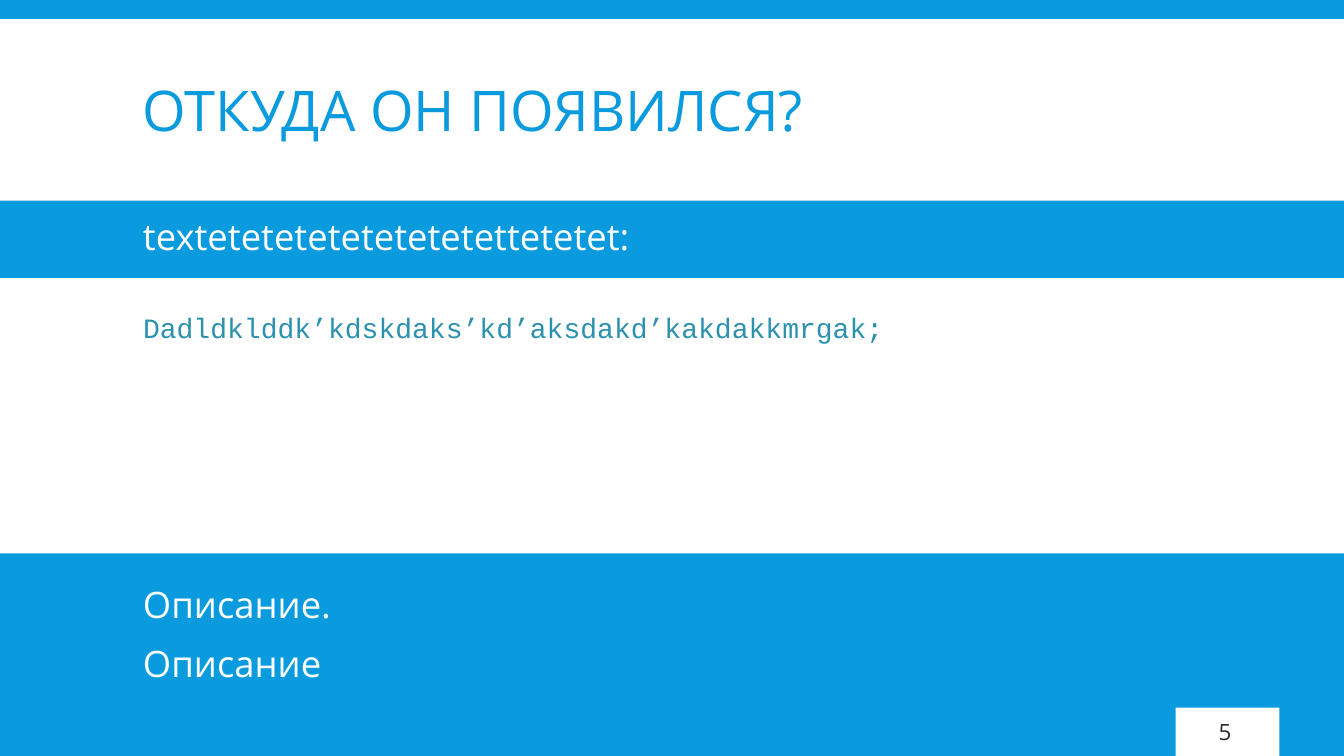
from pptx import Presentation
from pptx.dml.color import RGBColor
from pptx.enum.shapes import MSO_SHAPE
from pptx.enum.text import MSO_ANCHOR, PP_ALIGN
from pptx.util import Inches, Pt

BLUE = RGBColor(0x09, 0x9B, 0xDD)
WHITE = RGBColor(0xFF, 0xFF, 0xFF)
TEAL = RGBColor(0x2B, 0x91, 0xAF)
DARK = RGBColor(0x2C, 0x2C, 0x2C)

SLIDE_WIDTH = 13.33
TEXT_LEFT = 1.32
TEXT_WIDTH = 10.7

TITLE = {"size": Pt(40), "color": BLUE, "paragraph": {"line_spacing": 0.85}}
BODY = {
    "size": Pt(26),
    "color": WHITE,
    "paragraph": {"line_spacing": 0.9, "space_before": Pt(12), "space_after": Pt(2)},
}
CODE = {
    "name": "Courier New",
    "size": Pt(20),
    "color": TEAL,
    "paragraph": {"line_spacing": 1.07},
}
NUMBER = {"size": Pt(16), "color": DARK, "paragraph": {"alignment": PP_ALIGN.CENTER}}


class SlideBuilder:
    """Draws styled panels and text on the current slide."""

    font_name = "Open Sans"

    def __init__(self, slide):
        self.slide = slide

    def background(self, color):
        fill = self.slide.background.fill
        fill.solid()
        fill.fore_color.rgb = color

    def panel(self, left, top, width, height):
        box = map(Inches, (left, top, width, height))
        shape = self.slide.shapes.add_shape(MSO_SHAPE.RECTANGLE, *box)
        shape.shadow.inherit = False
        shape.fill.solid()
        shape.fill.fore_color.rgb = WHITE
        shape.line.fill.background()
        return shape

    def text(self, top, height, lines, style, anchor=MSO_ANCHOR.TOP, width=TEXT_WIDTH):
        box = map(Inches, (TEXT_LEFT, top, width, height))
        shape = self.slide.shapes.add_textbox(*box)
        self.fill_frame(shape.text_frame, lines, style, anchor)

    def fill_frame(self, frame, lines, style, anchor):
        frame.word_wrap = True
        frame.vertical_anchor = anchor
        frame.text = "\n".join(lines)
        for paragraph in frame.paragraphs:
            for key, value in style["paragraph"].items():
                setattr(paragraph, key, value)
            font = paragraph.runs[0].font
            font.name = style.get("name", self.font_name)
            font.size = style["size"]
            font.color.rgb = style["color"]

    def page_number(self, number):
        shape = self.panel(11.66, 7.02, 1.03, 0.48)
        frame = shape.text_frame
        margins = {"margin_left": 0.05, "margin_top": 0.05, "margin_right": 0.1, "margin_bottom": 0.05}
        for key, value in margins.items():
            setattr(frame, key, Inches(value))
        self.fill_frame(frame, [number], NUMBER, MSO_ANCHOR.MIDDLE)


presentation = Presentation()
presentation.slide_width = Inches(SLIDE_WIDTH)
presentation.slide_height = Inches(7.5)
builder = SlideBuilder(presentation.slides.add_slide(presentation.slide_layouts[6]))

builder.background(BLUE)
builder.panel(0, 0.19, SLIDE_WIDTH, 1.8)
builder.text(0.31, 1.65, ["ОТКУДА ОН ПОЯВИЛСЯ?"], TITLE, MSO_ANCHOR.MIDDLE)
builder.text(2.12, 0.56, ["textetetetetetetetetettetetet:"], BODY)
builder.page_number("5")
builder.panel(0, 2.76, SLIDE_WIDTH, 2.73)
builder.text(3.01, 0.44, ["Dadldklddk’kdskdaks’kd’aksdakd’kakdakkmrgak;"], CODE, width=SLIDE_WIDTH - TEXT_LEFT)
builder.text(5.48, 1.66, ["Описание.", "Описание"], BODY, MSO_ANCHOR.MIDDLE)

presentation.save("out.pptx")
